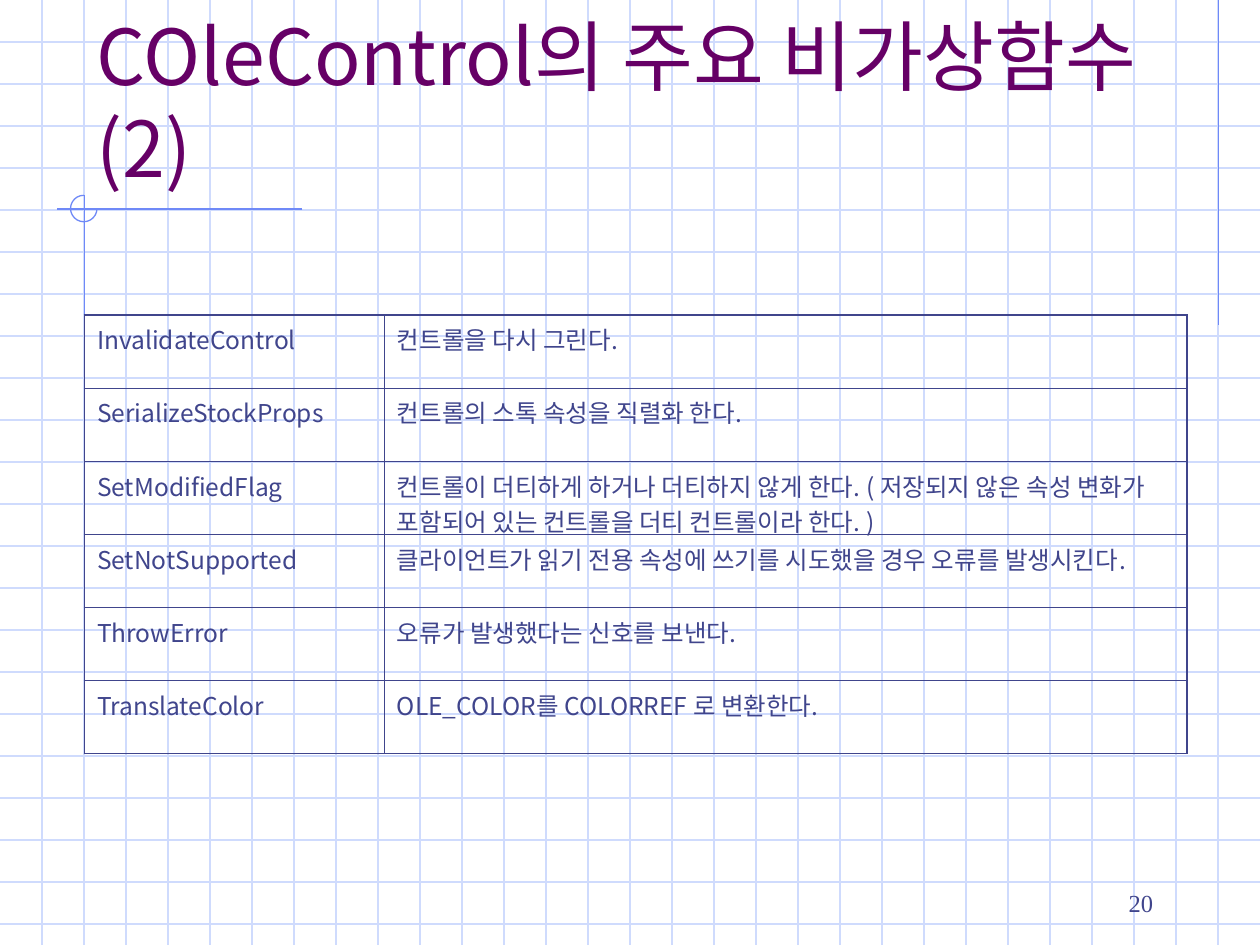
"""Build a slide listing the main non-virtual functions of COleControl."""
from dataclasses import dataclass

from lxml import etree
from pptx import Presentation
from pptx.dml.color import RGBColor
from pptx.enum.shapes import MSO_CONNECTOR, MSO_SHAPE
from pptx.enum.text import MSO_ANCHOR, PP_ALIGN
from pptx.oxml.ns import qn
from pptx.util import Inches, Pt

STRAIGHT = MSO_CONNECTOR.STRAIGHT
ARC = MSO_SHAPE.ARC
BOTTOM = MSO_ANCHOR.BOTTOM
LEFT, RIGHT = PP_ALIGN.LEFT, PP_ALIGN.RIGHT

TITLE = "COleControl의 주요 비가상함수(2)"
PAGE_NUMBER = "20"
FUNCTIONS = [
    ("InvalidateControl", "컨트롤을 다시 그린다."),
    ("SerializeStockProps", "컨트롤의 스톡 속성을 직렬화 한다."),
    ("SetModifiedFlag", "컨트롤이 더티하게 하거나 더티하지 않게 한다. ( 저장되지 않은 속성 변화가 "
                        "포함되어 있는 컨트롤을 더티 컨트롤이라 한다. )"),
    ("SetNotSupported", "클라이언트가 읽기 전용 속성에 쓰기를 시도했을 경우 오류를 발생시킨다."),
    ("ThrowError", "오류가 발생했다는 신호를 보낸다."),
    ("TranslateColor", "OLE_COLOR를 COLORREF 로 변환한다."),
]

SLIDE_WIDTH, SLIDE_HEIGHT = 10, 7.5
GRID_LINES_PER_INCH = 3
TITLE_BOX = (0.67, 0.33, 8.5, 1.25)
PAGE_NUMBER_BOX = (7.17, 6.83, 2.08, 0.5)
TABLE_LEFT, TABLE_TOP = 0.67, 2.5
COLUMN_WIDTHS = (2.38, 6.37)
ROW_HEIGHT = 0.58
ACCENT_LINES = [
    (9.67, 0, 9.67, 2.58),
    (2.4, 1.66, 0.45, 1.66),
    (0.67, 1.55, 0.67, 4.09),
]
ARC_BOX = (0.56, 1.55, 0.21, 0.21)


@dataclass(frozen=True)
class Theme:
    """Colours, fonts and sizes of the slide."""

    grid: str = "CFDBFD"
    accent: str = "6F89F7"
    title: str = "660066"
    text: str = "40458C"
    body_font: str = "Noto Sans CJK KR"
    number_font: str = "Times New Roman"
    title_size: float = 44
    body_size: float = 14
    line_width: float = 0.75
    outer_border: float = 1.08
    inner_border: float = 0.45


THEME = Theme()


def add_line(slide, ends, color):
    line = slide.shapes.add_connector(STRAIGHT, *map(Inches, ends))
    line.line.color.rgb = RGBColor.from_string(color)
    line.line.width = Pt(THEME.line_width)
    etree.SubElement(line._element.spPr, qn("a:effectLst"))


def add_grid(slide):
    for index in range(1, int(SLIDE_HEIGHT * GRID_LINES_PER_INCH) + 1):
        y = index / GRID_LINES_PER_INCH
        add_line(slide, (0, y, SLIDE_WIDTH, y), THEME.grid)
    for index in range(1, SLIDE_WIDTH * GRID_LINES_PER_INCH):
        x = index / GRID_LINES_PER_INCH
        add_line(slide, (x, 0, x, SLIDE_HEIGHT), THEME.grid)


def add_accents(slide):
    for ends in ACCENT_LINES:
        add_line(slide, ends, THEME.accent)
    arc = slide.shapes.add_shape(ARC, *map(Inches, ARC_BOX))
    arc.adjustments[0], arc.adjustments[1] = 0, 162
    arc.shadow.inherit = False
    arc.fill.background()
    arc.line.color.rgb = RGBColor.from_string(THEME.accent)
    arc.line.width = Pt(THEME.line_width)


def write(frame, text, size, color, font, alignment=LEFT):
    paragraph = frame.paragraphs[0]
    paragraph.alignment = alignment
    run = paragraph.add_run()
    run.text = text
    run.font.size = Pt(size)
    run.font.name = font
    run.font.color.rgb = RGBColor.from_string(color)
    etree.SubElement(run.font._element, qn("a:ea"), typeface=font)


def add_text_box(slide, box, *style):
    frame = slide.shapes.add_textbox(*map(Inches, box)).text_frame
    frame.word_wrap = True
    frame.vertical_anchor = BOTTOM
    write(frame, *style)


def set_borders(cell, outer_sides):
    properties = cell._tc.get_or_add_tcPr()
    for side in "LRTB":
        width = THEME.outer_border if side in outer_sides else THEME.inner_border
        border = etree.SubElement(properties, qn(f"a:ln{side}"), w=str(Pt(width)))
        fill = etree.SubElement(border, qn("a:solidFill"))
        etree.SubElement(fill, qn("a:srgbClr"), val=THEME.text)


def add_function_table(slide):
    rows, columns = len(FUNCTIONS), len(COLUMN_WIDTHS)
    table = slide.shapes.add_table(
        rows, columns, Inches(TABLE_LEFT), Inches(TABLE_TOP),
        Inches(sum(COLUMN_WIDTHS)), Inches(ROW_HEIGHT * rows)).table
    table.first_row = table.horz_banding = False
    for column, width in zip(table.columns, COLUMN_WIDTHS):
        column.width = Inches(width)
    for row_index, texts in enumerate(FUNCTIONS):
        table.rows[row_index].height = Inches(ROW_HEIGHT)
        for column_index, text in enumerate(texts):
            cell = table.cell(row_index, column_index)
            outer_sides = {
                "L": column_index == 0,
                "R": column_index == columns - 1,
                "T": row_index == 0,
                "B": row_index == rows - 1,
            }
            set_borders(cell, [side for side, outer in outer_sides.items() if outer])
            cell.fill.background()
            write(cell.text_frame, text, THEME.body_size, THEME.text, THEME.body_font)


def main():
    presentation = Presentation()
    presentation.slide_width = Inches(SLIDE_WIDTH)
    presentation.slide_height = Inches(SLIDE_HEIGHT)
    slide = presentation.slides.add_slide(presentation.slide_layouts[6])
    add_grid(slide)
    add_accents(slide)
    add_text_box(slide, TITLE_BOX, TITLE, THEME.title_size, THEME.title, THEME.body_font)
    add_function_table(slide)
    add_text_box(slide, PAGE_NUMBER_BOX, PAGE_NUMBER, THEME.body_size, THEME.text,
                 THEME.number_font, RIGHT)
    presentation.save("out.pptx")


if __name__ == "__main__":
    main()
